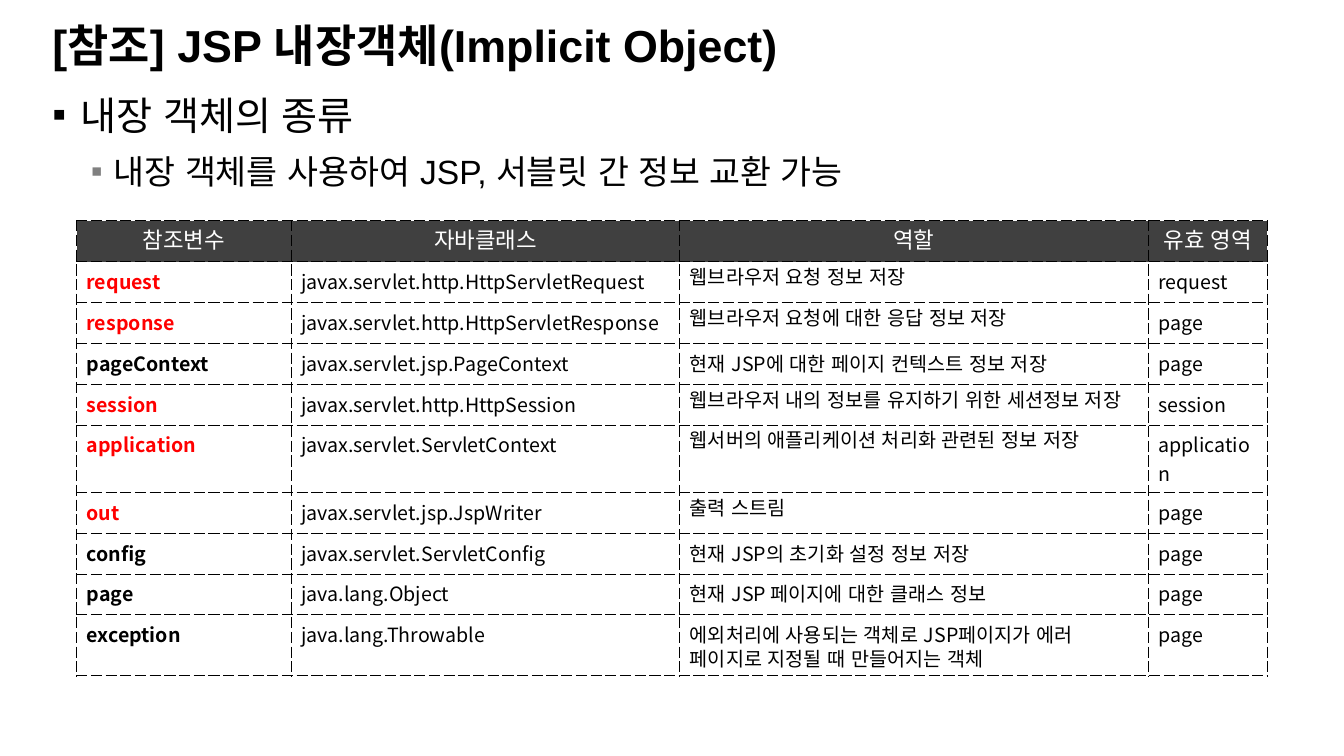
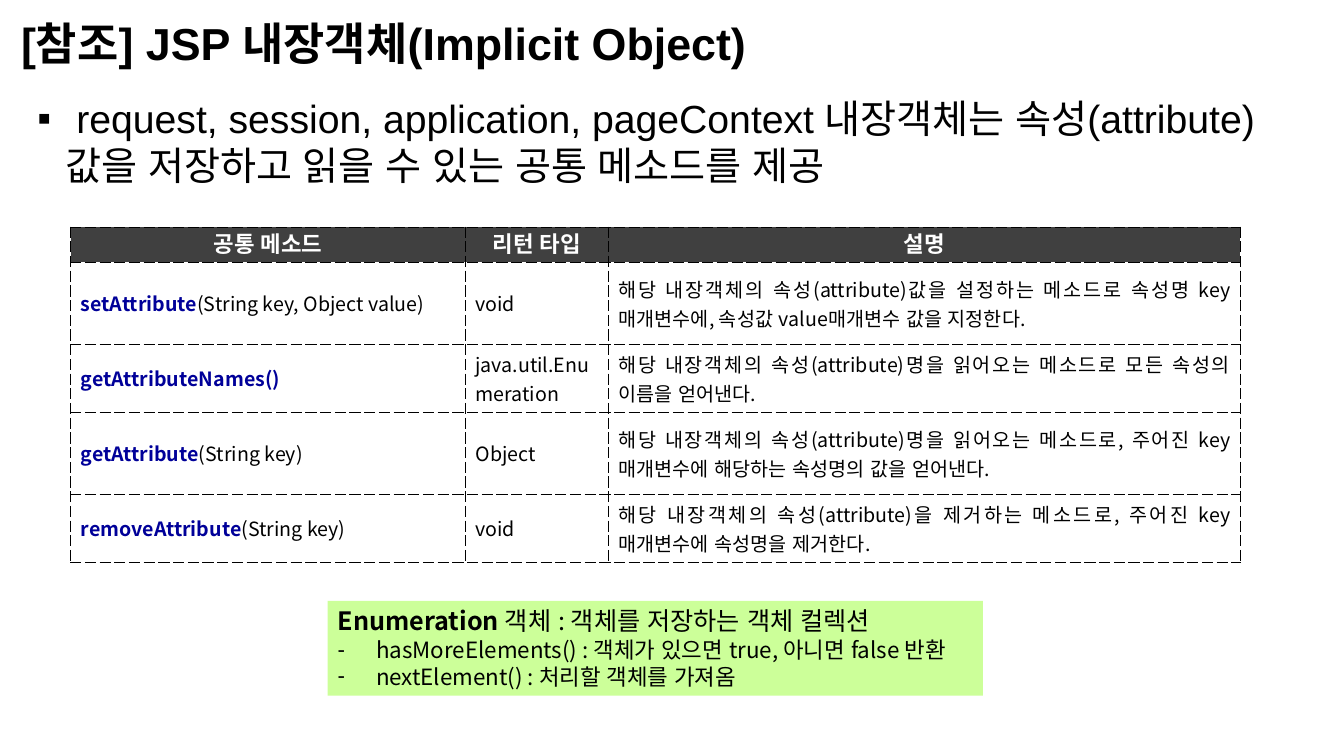
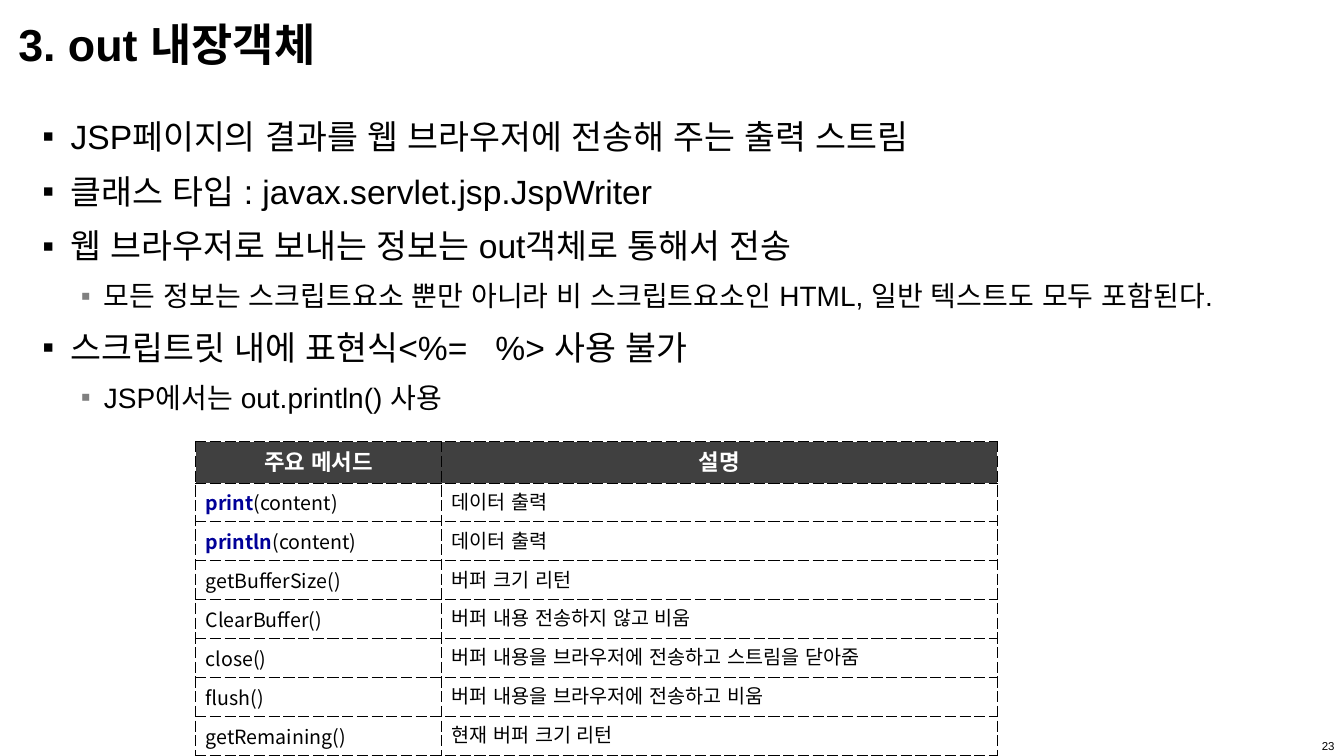
from lxml.etree import SubElement
from pptx import Presentation
from pptx.dml.color import RGBColor
from pptx.enum.shapes import MSO_SHAPE
from pptx.enum.text import MSO_ANCHOR, MSO_AUTO_SIZE, PP_ALIGN
from pptx.oxml.ns import qn
from pptx.util import Cm, Pt

COLORS = {
    "text": "000000",
    "header_text": "FFFFFF",
    "header_fill": "404040",
    "key": "FF0000",
    "method": "000099",
    "sub_bullet": "808080",
    "note": "CCFF99",
}
HEADING_FONT = "Arial"
TABLE_FONT = "Noto Sans CJK KR"
REFERENCE_TITLE = "[참조] JSP 내장객체(Implicit Object)"
LEFT, CENTER, JUSTIFY = PP_ALIGN.LEFT, PP_ALIGN.CENTER, PP_ALIGN.JUSTIFY


def rgb(name):
    return RGBColor.from_string(COLORS[name])


def set_font(paragraph, size, color="text", name=HEADING_FONT, bold=False):
    font = paragraph.font
    font.size, font.bold, font.name = Pt(size), bold, name
    font.color.rgb = rgb(color)
    SubElement(font._element, qn("a:ea"), typeface=HEADING_FONT)


def set_bullet(paragraph, character, margin, hanging, color=None):
    properties = paragraph._p.get_or_add_pPr()
    properties.set("marL", str(Cm(margin)))
    properties.set("indent", str(-Cm(hanging)))
    if color:
        bullet_color = SubElement(properties, qn("a:buClr"))
        SubElement(bullet_color, qn("a:srgbClr"), val=COLORS[color])
    SubElement(properties, qn("a:buFont"), typeface=HEADING_FONT)
    SubElement(properties, qn("a:buChar"), char=character)


def place(shape, box):
    shape.left, shape.top, shape.width, shape.height = (Cm(length) for length in box)


def prepare_placeholder(shape, box, anchor):
    place(shape, box)
    frame = shape.text_frame
    frame.margin_left = frame.margin_right = 0
    frame.margin_top = frame.margin_bottom = Cm(0.13)
    frame.word_wrap = True
    frame.auto_size = MSO_AUTO_SIZE.NONE
    frame.vertical_anchor = anchor
    return frame


def fill_title(slide, box, text):
    frame = prepare_placeholder(slide.shapes.title, box, MSO_ANCHOR.MIDDLE)
    frame.text = text
    paragraph = frame.paragraphs[0]
    paragraph.alignment = LEFT
    set_font(paragraph, 32, bold=True)


def fill_body(slide, box, items, sizes, line_spacing=1.0, sub_space=0):
    """Fill the list with (level, text) items; sizes holds one size per level."""
    frame = prepare_placeholder(slide.placeholders[1], box, MSO_ANCHOR.TOP)
    for index, (level, text) in enumerate(items):
        paragraph = frame.add_paragraph() if index else frame.paragraphs[0]
        paragraph.text = text
        paragraph.level = level
        paragraph.alignment = LEFT
        paragraph.line_spacing = line_spacing
        paragraph.space_before = Pt(sub_space if level else 0)
        paragraph.space_after = Pt(4.5)
        if level:
            set_bullet(paragraph, "▪", 1.55, 0.58, "sub_bullet")
        else:
            set_bullet(paragraph, "▪", 0.71, 0.71)
        set_font(paragraph, sizes[level])


def add_borders(cell):
    properties = cell._tc.get_or_add_tcPr()
    for side in ("lnL", "lnR", "lnT", "lnB"):
        line = SubElement(properties, qn(f"a:{side}"), w=str(Pt(0.75)))
        fill = SubElement(line, qn("a:solidFill"))
        SubElement(fill, qn("a:srgbClr"), val=COLORS["text"])
        SubElement(line, qn("a:prstDash"), val="sysDash")


def fill_cell(cell, content, alignment, anchor, header=False, bold=False):
    """Content is plain text, or (bold lead, rest, lead colour)."""
    add_borders(cell)
    cell.vertical_anchor = anchor
    paragraph = cell.text_frame.paragraphs[0]
    paragraph.alignment = alignment
    if header:
        cell.fill.solid()
        cell.fill.fore_color.rgb = rgb("header_fill")
        set_font(paragraph, 16, "header_text", TABLE_FONT, bold)
    else:
        cell.fill.background()
        set_font(paragraph, 14, "text", TABLE_FONT)
    if isinstance(content, str):
        paragraph.add_run().text = content
        return
    lead, rest, color = content
    run = paragraph.add_run()
    run.text = lead
    run.font.bold = True
    run.font.color.rgb = rgb(color)
    if rest:
        paragraph.add_run().text = rest


def add_dashed_table(slide, left, top, widths, heights, rows, alignments,
                     anchor=MSO_ANCHOR.MIDDLE, bold_header=True):
    table = slide.shapes.add_table(
        len(rows), len(widths), Cm(left), Cm(top), Cm(sum(widths)), Cm(sum(heights))
    ).table
    table.first_row = table.horz_banding = False
    for column, width in zip(table.columns, widths):
        column.width = Cm(width)
    for row_index, (row, height) in enumerate(zip(rows, heights)):
        table.rows[row_index].height = Cm(height)
        for column_index, content in enumerate(row):
            cell = table.cell(row_index, column_index)
            if row_index == 0:
                fill_cell(cell, content, CENTER, MSO_ANCHOR.MIDDLE, True, bold_header)
            else:
                fill_cell(cell, content, alignments[column_index], anchor)


def add_enumeration_note(slide, box):
    shape = slide.shapes.add_shape(MSO_SHAPE.RECTANGLE, 0, 0, 0, 0)
    place(shape, box)
    shape.shadow.inherit = False
    shape.fill.solid()
    shape.fill.fore_color.rgb = rgb("note")
    shape.line.fill.background()
    frame = shape.text_frame
    frame.word_wrap = False
    frame.vertical_anchor = MSO_ANCHOR.TOP
    heading = frame.paragraphs[0]
    heading.alignment = LEFT
    set_font(heading, 18, name=TABLE_FONT)
    term = heading.add_run()
    term.text = "Enumeration "
    term.font.bold = True
    heading.add_run().text = "객체 : 객체를 저장하는 객체 컬렉션"
    for text in (
        "hasMoreElements() : 객체가 있으면 true, 아니면 false 반환",
        "nextElement() : 처리할 객체를 가져옴",
    ):
        paragraph = frame.add_paragraph()
        paragraph.text = text
        paragraph.alignment = LEFT
        set_bullet(paragraph, "-", 0.97, 0.97)
        set_font(paragraph, 16, name=TABLE_FONT)


def add_page_number(slide, box, number):
    shape = slide.shapes.add_textbox(0, 0, 0, 0)
    place(shape, box)
    frame = shape.text_frame
    frame.word_wrap = True
    frame.vertical_anchor = MSO_ANCHOR.MIDDLE
    frame.text = number
    paragraph = frame.paragraphs[0]
    paragraph.alignment = PP_ALIGN.RIGHT
    set_font(paragraph, 8.2)


def build_object_list(slide):
    fill_title(slide, (1.32, 0.25, 28.3, 1.73), REFERENCE_TITLE)
    items = [
        (0, "내장 객체의 종류"),
        (1, "내장 객체를 사용하여 JSP, 서블릿 간 정보 교환 가능"),
    ]
    fill_body(slide, (1.32, 2.16, 31.6, 15.6), items, (28, 24), sub_space=4.8)
    objects = [
        ("request", "javax.servlet.http.HttpServletRequest", "웹브라우저 요청 정보 저장", "request"),
        ("response", "javax.servlet.http.HttpServletResponse", "웹브라우저 요청에 대한 응답 정보 저장", "page"),
        ("pageContext", "javax.servlet.jsp.PageContext", "현재 JSP에 대한 페이지 컨텍스트 정보 저장", "page"),
        ("session", "javax.servlet.http.HttpSession", "웹브라우저 내의 정보를 유지하기 위한 세션정보 저장", "session"),
        ("application", "javax.servlet.ServletContext", "웹서버의 애플리케이션 처리화 관련된 정보 저장", "application"),
        ("out", "javax.servlet.jsp.JspWriter", "출력 스트림", "page"),
        ("config", "javax.servlet.ServletConfig", "현재 JSP의 초기화 설정 정보 저장", "page"),
        ("page", "java.lang.Object", "현재 JSP 페이지에 대한 클래스 정보", "page"),
        ("exception", "java.lang.Throwable",
         "에외처리에 사용되는 객체로 JSP페이지가 에러 페이지로 지정될 때 만들어지는 객체", "page"),
    ]
    key_objects = {"request", "response", "session", "application", "out"}
    rows = [("참조변수", "자바클래스", "역할", "유효 영역")]
    for name, *details in objects:
        rows.append(((name, "", "key" if name in key_objects else "text"), *details))
    add_dashed_table(slide, 1.93, 5.56, (5.41, 9.79, 11.81, 3), [1.03] * len(rows), rows,
                     [LEFT] * 4, MSO_ANCHOR.TOP, bold_header=False)


def build_common_methods(slide):
    fill_title(slide, (0.53, 0.2, 28.24, 1.73), REFERENCE_TITLE)
    items = [(0, " request, session, application, pageContext 내장객체는 속성(attribute) "
                 "값을 저장하고 읽을 수 있는 공통 메소드를 제공")]
    fill_body(slide, (0.94, 2.24, 32, 15.4), items, (28,))
    rows = [
        ("공통 메소드", "리턴 타입", "설명"),
        (("setAttribute", "(String key, Object value)", "method"), "void",
         "해당 내장객체의 속성(attribute)값을 설정하는 메소드로 속성명 key매개변수에, 속성값 value매개변수 값을 지정한다."),
        (("getAttributeNames()", "", "method"), "java.util.Enumeration",
         "해당 내장객체의 속성(attribute)명을 읽어오는 메소드로 모든 속성의 이름을 얻어낸다."),
        (("getAttribute", "(String key)", "method"), "Object",
         "해당 내장객체의 속성(attribute)명을 읽어오는 메소드로, 주어진 key매개변수에 해당하는 속성명의 값을 얻어낸다."),
        (("removeAttribute", "(String key)", "method"), "void",
         "해당 내장객체의 속성(attribute)을 제거하는 메소드로, 주어진 key매개변수에 속성명을 제거한다."),
    ]
    add_dashed_table(slide, 1.78, 5.72, (9.95, 3.6, 15.93), (0.84, 2.08, 1.7, 2.08, 1.7), rows,
                     (LEFT, JUSTIFY, JUSTIFY))
    add_enumeration_note(slide, (8.26, 15.14, 16.51, 2.39))


def build_out_object(slide):
    fill_title(slide, (0.46, 0.41, 33.25, 1.4), "3. out 내장객체")
    items = [
        (0, "JSP페이지의 결과를 웹 브라우저에 전송해 주는 출력 스트림"),
        (0, "클래스 타입 : javax.servlet.jsp.JspWriter"),
        (0, "웹 브라우저로 보내는 정보는 out객체로 통해서 전송"),
        (1, "모든 정보는 스크립트요소 뿐만 아니라 비 스크립트요소인 HTML, 일반 텍스트도 모두 포함된다."),
        (0, "스크립트릿 내에 표현식<%=   %> 사용 불가"),
        (1, "JSP에서는 out.println() 사용"),
    ]
    fill_body(slide, (1.07, 2.59, 32, 15.93), items, (24, 20), line_spacing=1.2)
    add_page_number(slide, (32.46, 18.52, 1.42, 0.53), "23")
    rows = [
        ("주요 메서드", "설명"),
        (("print", "(content)", "method"), "데이터 출력"),
        (("println", "(content)", "method"), "데이터 출력"),
        ("getBufferSize()", "버퍼 크기 리턴"),
        ("ClearBuffer()", "버퍼 내용 전송하지 않고 비움"),
        ("close()", "버퍼 내용을 브라우저에 전송하고 스트림을 닫아줌"),
        ("flush()", "버퍼 내용을 브라우저에 전송하고 비움"),
        ("getRemaining()", "현재 버퍼 크기 리턴"),
    ]
    add_dashed_table(slide, 4.93, 11.13, (6.2, 14), [1.04] + [0.98] * (len(rows) - 1), rows,
                     (JUSTIFY, JUSTIFY))


def main():
    presentation = Presentation()
    presentation.slide_width, presentation.slide_height = Cm(33.87), Cm(19.05)
    layout = presentation.slide_layouts[1]
    for build in (build_object_list, build_common_methods, build_out_object):
        build(presentation.slides.add_slide(layout))
    presentation.save("out.pptx")


if __name__ == "__main__":
    main()
